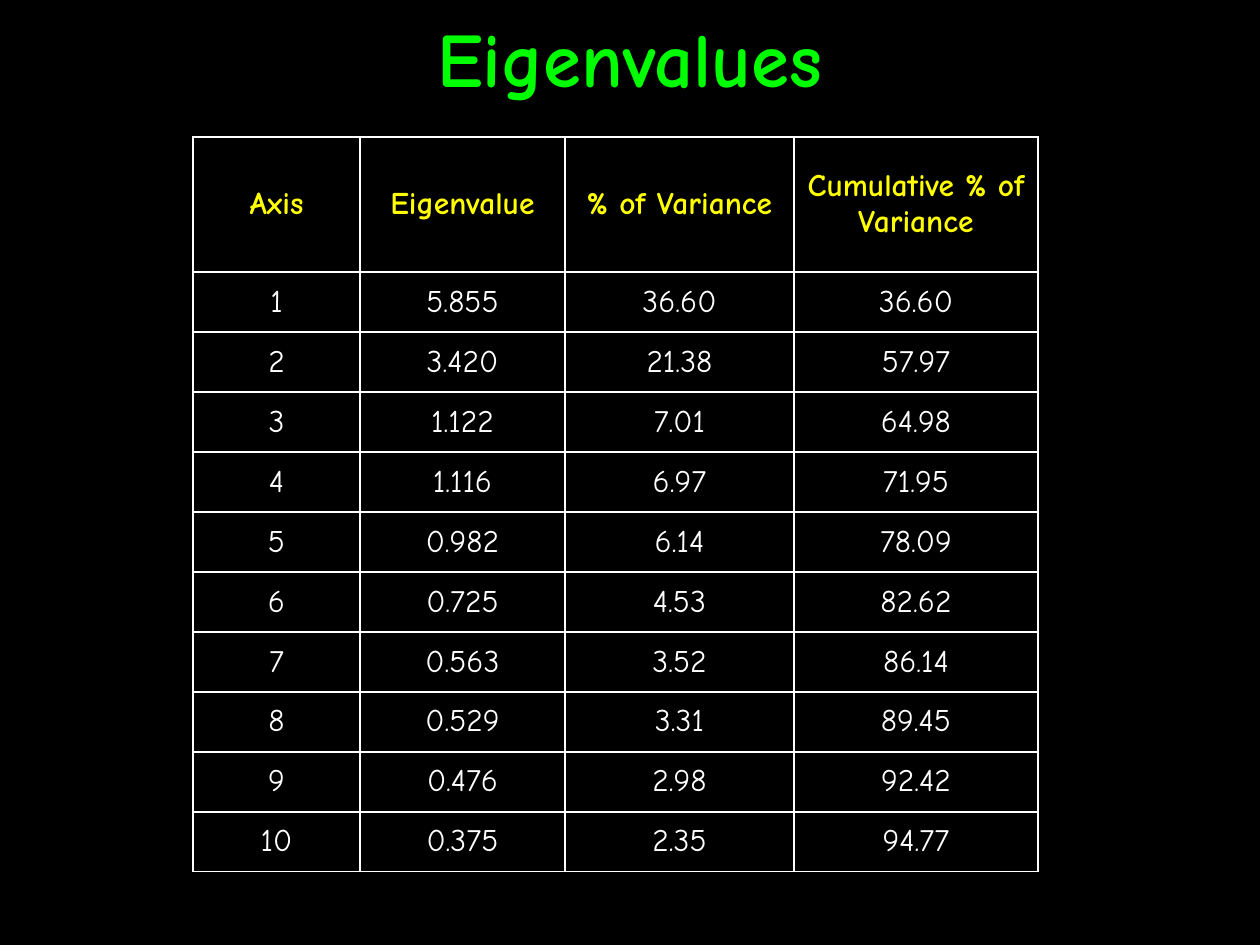
from typing import NamedTuple

from lxml.etree import SubElement
from pptx import Presentation
from pptx.dml.color import RGBColor
from pptx.enum.text import MSO_ANCHOR, PP_ALIGN
from pptx.oxml.ns import qn
from pptx.util import Emu, Pt

EMU_PER_PX = 914400 / 126
FONT = "Comic Neue"
BLACK, WHITE, YELLOW, GREEN = "000000", "FFFFFF", "FFFF00", "00FF00"
BORDER_WIDTH = Pt(1)


class TextStyle(NamedTuple):
    size: int
    color: str
    bold: bool


class AxisRow(NamedTuple):
    axis: str
    eigenvalue: str
    variance: str
    cumulative: str


TITLE_STYLE = TextStyle(44, GREEN, True)
HEADER_STYLE = TextStyle(18, YELLOW, True)
VALUE_STYLE = TextStyle(18, WHITE, False)

HEADER = AxisRow("Axis", "Eigenvalue", "% of Variance", "Cumulative % of Variance")
AXES = [
    AxisRow("1", "5.855", "36.60", "36.60"),
    AxisRow("2", "3.420", "21.38", "57.97"),
    AxisRow("3", "1.122", "7.01", "64.98"),
    AxisRow("4", "1.116", "6.97", "71.95"),
    AxisRow("5", "0.982", "6.14", "78.09"),
    AxisRow("6", "0.725", "4.53", "82.62"),
    AxisRow("7", "0.563", "3.52", "86.14"),
    AxisRow("8", "0.529", "3.31", "89.45"),
    AxisRow("9", "0.476", "2.98", "92.42"),
    AxisRow("10", "0.375", "2.35", "94.77"),
]
COLUMN_WIDTHS = [167, 205, 229, 244]
HEADER_HEIGHT, ROW_HEIGHT = 135, 60


def px(length: int) -> Emu:
    return Emu(round(length * EMU_PER_PX))


def rgb(color: str) -> RGBColor:
    return RGBColor.from_string(color)


def write_centered(frame, text: str, style: TextStyle) -> None:
    frame.word_wrap = True
    paragraph = frame.paragraphs[0]
    paragraph.alignment = PP_ALIGN.CENTER
    run = paragraph.add_run()
    run.text = text
    run.font.name = FONT
    run.font.size = Pt(style.size)
    run.font.bold = style.bold
    run.font.color.rgb = rgb(style.color)


def add_borders(cell, color: str) -> None:
    properties = cell._tc.get_or_add_tcPr()
    for side in ("a:lnL", "a:lnR", "a:lnT", "a:lnB"):
        line = SubElement(properties, qn(side), w=str(BORDER_WIDTH))
        fill = SubElement(line, qn("a:solidFill"))
        SubElement(fill, qn("a:srgbClr"), val=color)


def draw_cell(cell, text: str, style: TextStyle) -> None:
    cell.vertical_anchor = MSO_ANCHOR.MIDDLE
    cell.margin_left = cell.margin_right = px(12)
    write_centered(cell.text_frame, text, style)
    # Borders come before the fill in the cell properties
    add_borders(cell, WHITE)
    cell.fill.background()


def draw_eigenvalue_table(slide, left: int, top: int) -> None:
    rows = [HEADER, *AXES]
    heights = [HEADER_HEIGHT] + [ROW_HEIGHT] * len(AXES)
    table = slide.shapes.add_table(
        len(rows), len(COLUMN_WIDTHS),
        px(left), px(top), px(sum(COLUMN_WIDTHS)), px(sum(heights)),
    ).table
    table.horz_banding = False
    for column, width in zip(table.columns, COLUMN_WIDTHS):
        column.width = px(width)
    for index, (axis_row, height) in enumerate(zip(rows, heights)):
        table.rows[index].height = px(height)
        style = VALUE_STYLE if index else HEADER_STYLE
        for cell, text in zip(table.rows[index].cells, axis_row):
            draw_cell(cell, text, style)


def draw_title(slide, text: str) -> None:
    title = slide.shapes.add_textbox(px(12), px(-1), px(1236), px(116))
    title.text_frame.vertical_anchor = MSO_ANCHOR.MIDDLE
    write_centered(title.text_frame, text, TITLE_STYLE)


def main() -> None:
    presentation = Presentation()
    presentation.slide_width, presentation.slide_height = px(1260), px(945)
    slide = presentation.slides.add_slide(presentation.slide_layouts[6])

    # Background
    slide.background.fill.solid()
    slide.background.fill.fore_color.rgb = rgb(BLACK)

    # Table and title
    draw_eigenvalue_table(slide, left=193, top=137)
    draw_title(slide, "Eigenvalues")

    presentation.save("out.pptx")


if __name__ == "__main__":
    main()
